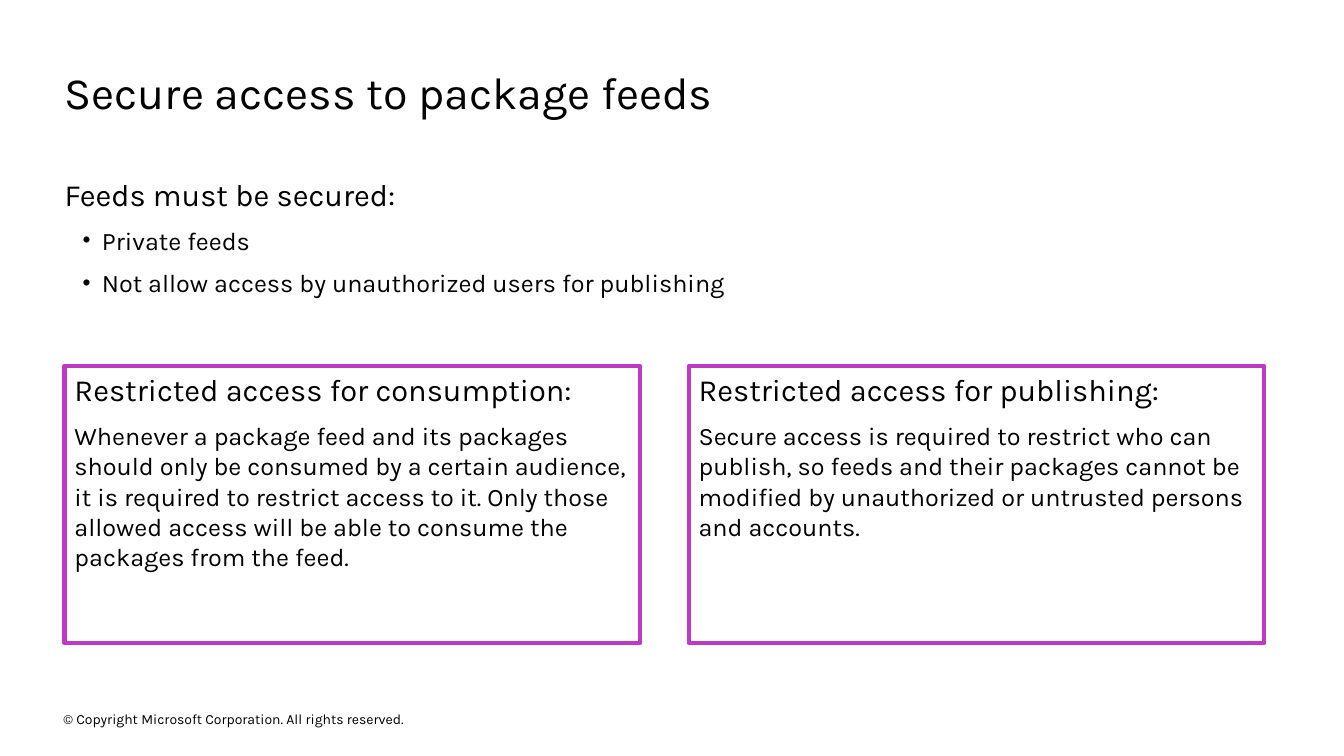
from pptx import Presentation
from pptx.dml.color import RGBColor
from pptx.enum.shapes import MSO_SHAPE as Shape
from pptx.enum.text import MSO_ANCHOR as Anchor, MSO_AUTO_SIZE as Fit, PP_ALIGN as Align
from pptx.util import Inches, Pt
from lxml.etree import SubElement
from pptx.oxml.ns import qn

TITLE = "Secure access to package feeds"
LEAD = "Feeds must be secured:"
ITEMS = ["Private feeds", "Not allow access by unauthorized users for publishing"]
CARDS = [
    ("Restricted access for consumption:",
     "Whenever a package feed and its packages should only be consumed by a certain "
     "audience, it is required to restrict access to it. Only those allowed access "
     "will be able to consume the packages from the feed."),
    ("Restricted access for publishing:",
     "Secure access is required to restrict who can publish, so feeds and their "
     "packages cannot be modified by unauthorized or untrusted persons and accounts."),
]
FOOTER = "© Copyright Microsoft Corporation. All rights reserved."

FONT, INK, PAPER, EDGE = "Karla", "000000", "FFFFFF", "BF3AC4"
LEFT, WIDE = 0.64, 12.04
CARD_TOP, CARD_W, CARD_H, STEP = 3.63, 5.71, 2.75, 6.19


def color(code):
    return RGBColor.from_string(code)


def place(shape, left, top, width, height):
    shape.left, shape.top = Inches(left), Inches(top)
    shape.width, shape.height = Inches(width), Inches(height)


def setup(frame, inset=True, anchor=Anchor.TOP):
    frame.word_wrap = True
    frame.auto_size = Fit.NONE
    frame.vertical_anchor = anchor
    if not inset:
        frame.margin_left = frame.margin_right = 0
        frame.margin_top = frame.margin_bottom = 0


def bullet(para):
    props = para._p.get_or_add_pPr()
    props.set("marL", str(Inches(0.37)))
    props.set("indent", str(Inches(-0.19)))
    SubElement(props, qn("a:buSzPct"), val="90000")
    SubElement(props, qn("a:buFont"), typeface="Arial")
    SubElement(props, qn("a:buChar"), char="•")


def write(frame, lines, dots=False):
    frame.text = "\n".join(text for text, size in lines)
    for n, (para, (text, size)) in enumerate(zip(frame.paragraphs, lines)):
        para.alignment = Align.LEFT
        para.space_before = Pt(6 if n else 0)
        para.space_after = Pt(3 if len(lines) > 1 else 0)
        if dots and n:
            bullet(para)
        for run in para.runs:
            run.font.name = FONT
            run.font.size = Pt(size)
            run.font.color.rgb = color(INK)


def label(slide, spot, lines, dots=False, anchor=Anchor.TOP):
    box = slide.shapes.add_textbox(*map(Inches, spot))
    setup(box.text_frame, False, anchor)
    write(box.text_frame, lines, dots)


def card(slide, left, head, body):
    box = slide.shapes.add_shape(
        Shape.RECTANGLE, *map(Inches, (left, CARD_TOP, CARD_W, CARD_H)))
    box.shadow.inherit = False
    box.fill.solid()
    box.fill.fore_color.rgb = color(PAPER)
    box.line.color.rgb = color(EDGE)
    box.line.width = Pt(3)
    SubElement(box.line._get_or_add_ln(), qn("a:round"))
    setup(box.text_frame)
    write(box.text_frame, [(head, 22), (body, 18)])


def main():
    deck = Presentation()
    deck.slide_width, deck.slide_height = Inches(13.33), Inches(7.5)
    slide = deck.slides.add_slide(deck.slide_layouts[5])
    title = slide.shapes.title
    place(title, LEFT, 0.64, WIDE, 0.54)
    setup(title.text_frame, False)
    write(title.text_frame, [(TITLE, 32)])
    label(slide, (LEFT, 1.74, WIDE, 1.23),
          [(LEAD, 22)] + [(item, 18) for item in ITEMS], dots=True)
    for n, (head, body) in enumerate(CARDS):
        card(slide, LEFT + n * STEP, head, body)
    label(slide, (0.63, 7.02, 4.54, 0.22), [(FOOTER, 10)], anchor=Anchor.MIDDLE)
    deck.save("out.pptx")


if __name__ == "__main__":
    main()
